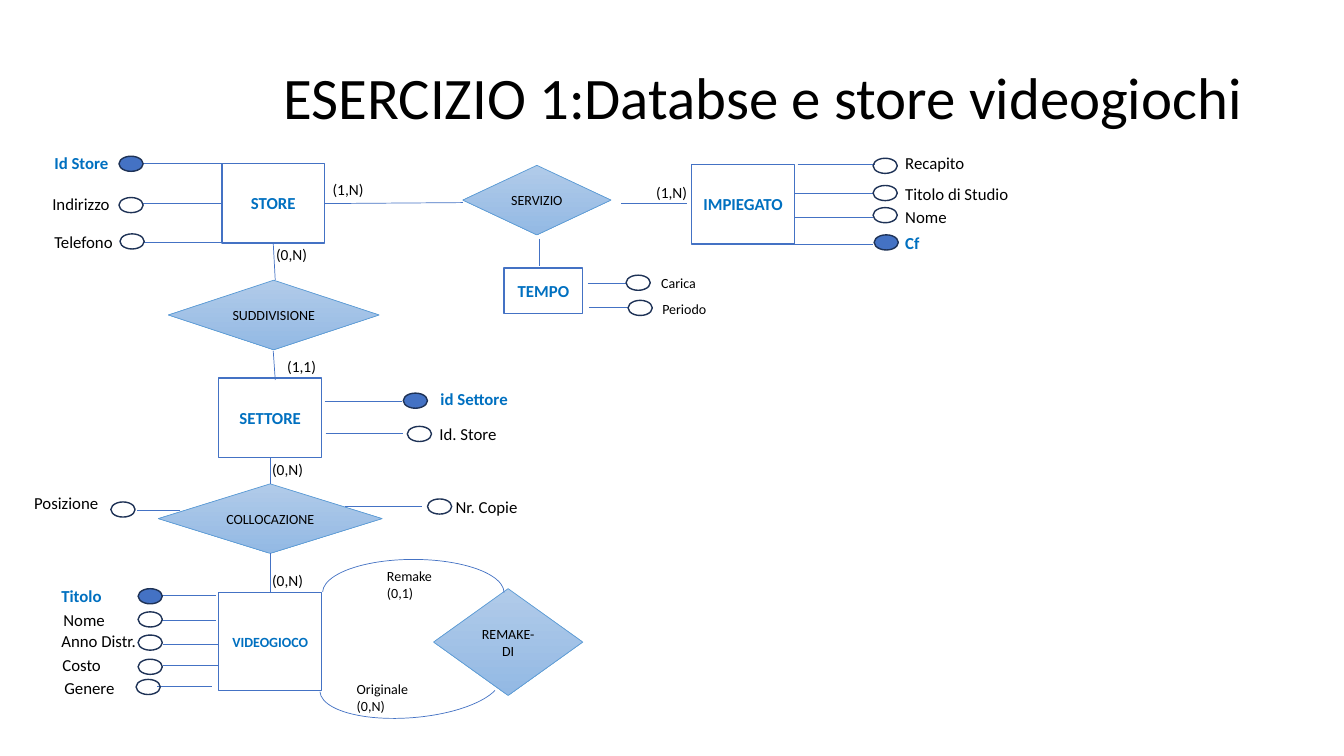
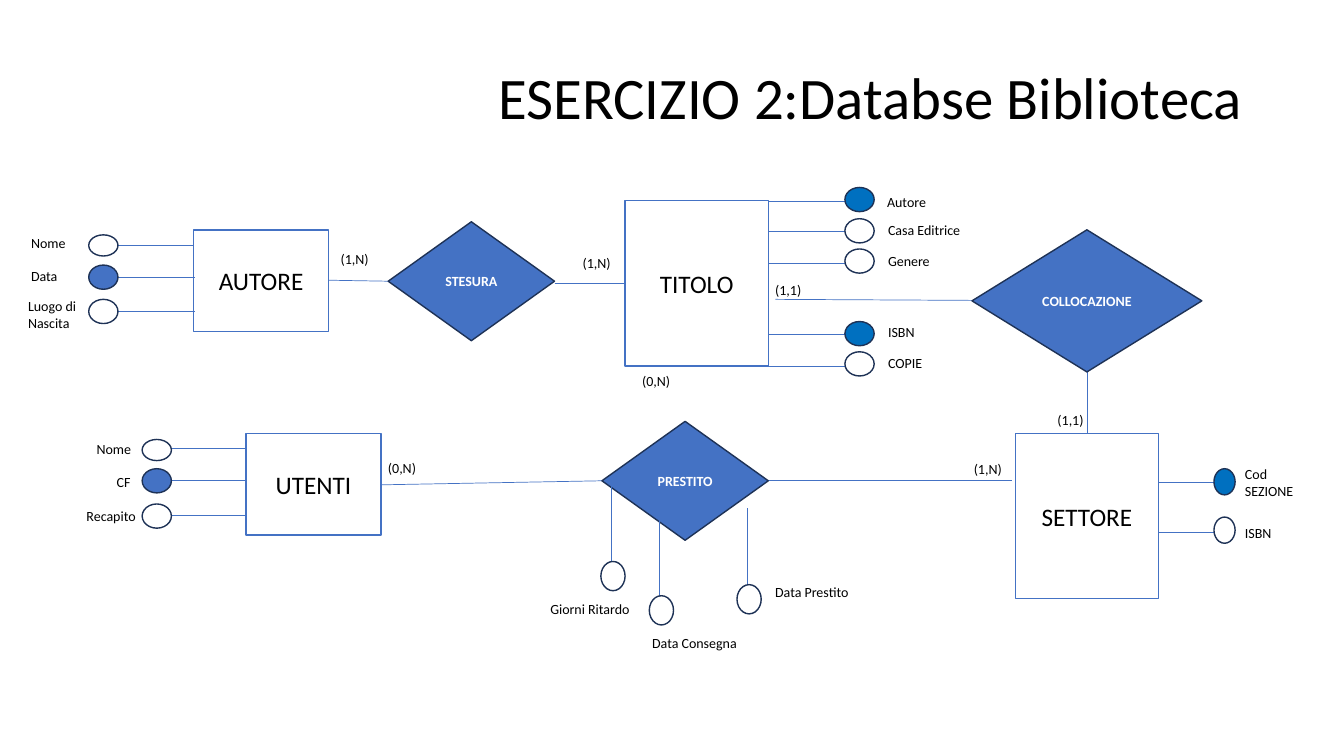
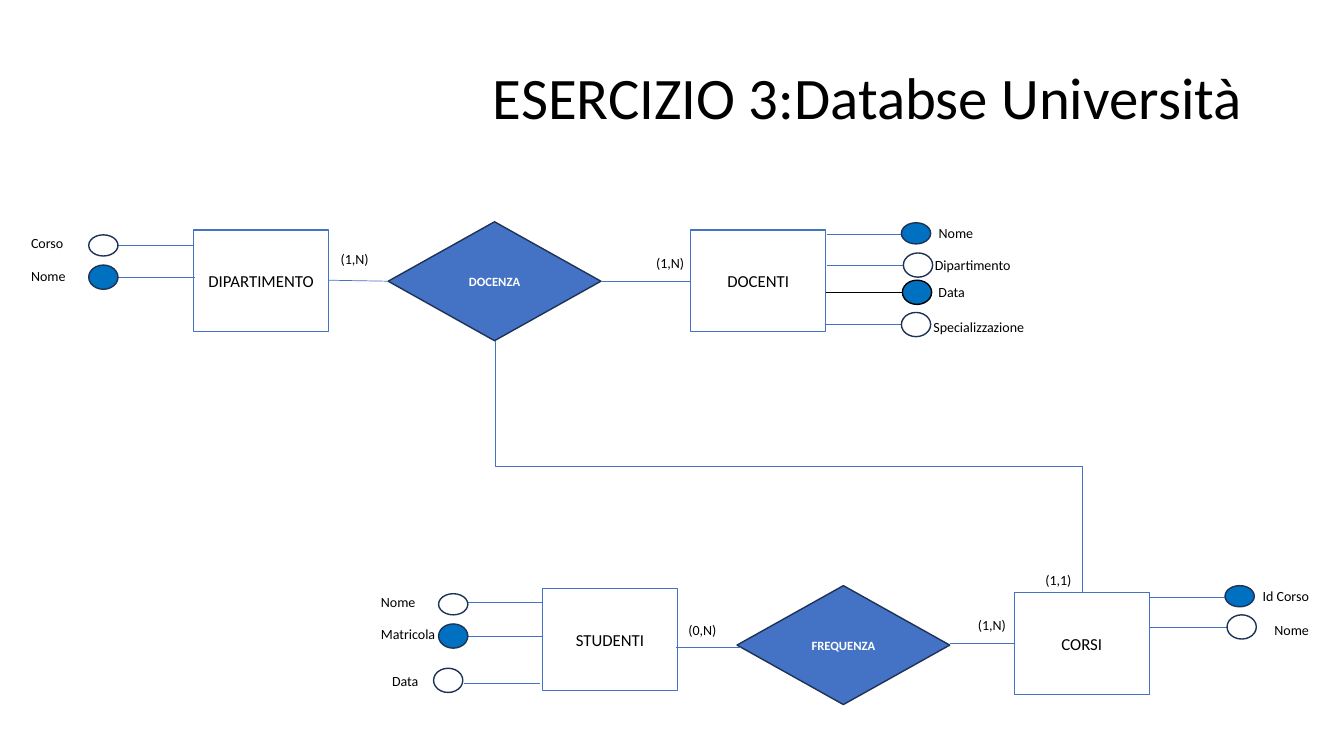
import pptx
import pptx.util
import pptx.dml.color
import pptx.enum.shapes
import pptx.enum.text
import pptx.oxml
import pptx.oxml.ns

Inches = pptx.util.Inches
Pt = pptx.util.Pt
SHAPE = pptx.enum.shapes.MSO_SHAPE
CONNECTOR = pptx.enum.shapes.MSO_CONNECTOR
ALIGN = pptx.enum.text.PP_ALIGN
ANCHOR = pptx.enum.text.MSO_ANCHOR
AUTO = pptx.enum.text.MSO_AUTO_SIZE

COLORS = {
    "black": "000000", "white": "FFFFFF", "blue": "4472C4", "key": "0070C0",
    "navy": "1E3256", "edge": "5B9BD5", "light": "B1CBE9", "dark": "93B9E4",
}
FONT = "Calibri"


def rgb(name):
    return pptx.dml.color.RGBColor.from_string(COLORS[name])


class Deck:
    def __init__(self):
        self.prs = pptx.Presentation()
        self.prs.slide_width = Inches(13.33)
        self.prs.slide_height = Inches(7.5)
        self.s = None

    def slide(self, title):
        self.s = self.prs.slides.add_slide(self.prs.slide_layouts[5])
        sp = self.s.shapes.title
        sp.left, sp.top, sp.width, sp.height = map(Inches, (0.92, 0.27, 11.5, 1.45))
        tf = sp.text_frame
        tf.auto_size = AUTO.NONE
        tf.vertical_anchor = ANCHOR.MIDDLE
        self.add_text(tf, title, 42, align=ALIGN.RIGHT)
        tf.paragraphs[0].line_spacing = 0.9

    def add_text(self, tf, text, size, color="black", bold=False, align=ALIGN.LEFT):
        tf.word_wrap = True
        for i, line in enumerate(text.split("\n")):
            p = tf.add_paragraph() if i else tf.paragraphs[0]
            p.alignment = align
            r = p.add_run()
            r.text = line
            r.font.name = FONT
            r.font.size = Pt(size)
            r.font.bold = bold
            r.font.color.rgb = rgb(color)

    def shape(self, kind, box, fill, line, weight=1):
        sp = self.s.shapes.add_shape(kind, *map(Inches, box))
        sp.shadow.inherit = False
        if fill == "gradient":
            sp.fill.gradient()
            sp.fill.gradient_angle = 270
            for stop, name in zip(sp.fill.gradient_stops, ("light", "dark")):
                stop.color.rgb = rgb(name)
        elif fill:
            sp.fill.solid()
            sp.fill.fore_color.rgb = rgb(fill)
        else:
            sp.fill.background()
        sp.line.color.rgb = rgb(line)
        sp.line.width = Pt(weight)
        return sp

    def entity(self, text, box, size, color="black", bold=False):
        sp = self.shape(SHAPE.RECTANGLE, box, "white", "blue")
        self.add_text(sp.text_frame, text, size, color, bold, ALIGN.CENTER)

    def relation(self, text, box, size=10, gradient=False):
        if gradient:
            sp = self.shape(SHAPE.DIAMOND, box, "gradient", "edge", 0.5)
        else:
            sp = self.shape(SHAPE.DIAMOND, box, "blue", "navy")
        self.add_text(sp.text_frame, text, size, "black" if gradient else "white",
                      not gradient, ALIGN.CENTER)

    def arc(self, box, start, rotation=0):
        sp = self.shape(SHAPE.ARC, box, None, "blue", 0.5)
        sp.adjustments[0] = start
        sp.adjustments[1] = 0
        sp.rotation = rotation

    def label(self, text, x, y, width, size=10, color="black", bold=False, align=ALIGN.LEFT):
        height = (text.count("\n") + 1) * size / 60 + 0.1
        tf = self.s.shapes.add_textbox(*map(Inches, (x, y, width, height))).text_frame
        tf.auto_size = AUTO.SHAPE_TO_FIT_TEXT
        self.add_text(tf, text, size, color, bold, align)

    def labels(self, rows, width, size=10):
        for text, x, y in rows:
            self.label(text, x, y, width, size)

    def line(self, x1, y1, x2, y2, color="blue", kind=CONNECTOR.STRAIGHT):
        c = self.s.shapes.add_connector(kind, *map(Inches, (x1, y1, x2, y2)))
        c.line.color.rgb = rgb(color)
        c.line.width = Pt(0.5)
        c._element.spPr.append(pptx.oxml.parse_xml(
            "<a:effectLst %s/>" % pptx.oxml.ns.nsdecls("a")))
        return c

    def lines(self, rows):
        for row in rows:
            self.line(*row)

    def elbow(self, x1, y1, x2, y2):
        c = self.line(x1, y1, x2, y2, kind=CONNECTOR.ELBOW)
        w, h = y2 - y1, x2 - x1
        c.left, c.top = Inches((x1 + x2 - w) / 2), Inches((y1 + y2 - h) / 2)
        c.width, c.height = Inches(w), Inches(h)
        xfrm = c._element.spPr.xfrm
        xfrm.set("rot", "16200000")
        xfrm.set("flipH", "1")

    def oval(self, x, y, w, h, fill, line="navy"):
        self.shape(SHAPE.OVAL, (x, y, w, h), fill, line)

    def attributes(self, rows, keys=(), size=10, oval=(0.29, 0.24), fill="white",
                   key_fill="key", bold_keys=False, width=1.04, align=ALIGN.LEFT,
                   line="blue", edge="navy"):
        for text, tx, ty, ox, oy, x1, x2, ly in rows:
            key = text in keys
            strong = key and bold_keys
            self.line(x1, ly, x2, ly, line)
            self.oval(ox, oy, *oval, key_fill if key else fill, edge)
            self.label(text, tx, ty, width, size, "key" if strong else "black", strong, align)


def store(d):
    d.slide("ESERCIZIO 1:Databse e store videogiochi")
    for text, box in (
        ("SERVIZIO", (4.59, 1.64, 1.47, 0.69)),
        ("SUDDIVISIONE", (1.67, 2.78, 2.09, 0.69)),
        ("COLLOCAZIONE", (1.57, 4.8, 2.22, 0.69)),
        ("REMAKE-DI", (4.3, 5.84, 1.48, 1.06)),
    ):
        d.relation(text, box, gradient=True)
    for text, box, size in (
        ("IMPIEGATO", (6.86, 1.63, 1.02, 0.79), 12),
        ("STORE", (2.2, 1.62, 1.02, 0.79), 12),
        ("TEMPO", (5, 2.66, 0.78, 0.45), 12),
        ("SETTORE", (2.17, 3.75, 1.02, 0.79), 12),
        ("VIDEOGIOCO", (2.17, 5.88, 1.02, 0.97), 10),
    ):
        d.entity(text, box, size, "key", True)
    d.lines((
        (6.16, 2.02, 6.81, 2.02), (3.22, 2.02, 4.59, 2.01),
        (5.35, 2.37, 5.35, 2.64), (2.71, 2.41, 2.73, 2.78),
        (2.71, 3.48, 2.73, 3.77), (2.68, 4.54, 2.68, 4.8),
        (2.68, 5.49, 2.68, 5.88),
    ))
    style = dict(oval=(0.24, 0.15), fill=None, key_fill="blue", bold_keys=True)
    d.attributes((
        ("Id Store", 0.44, 1.47, 1.18, 1.55, 1.42, 2.2, 1.62),
        ("Indirizzo", 0.42, 1.87, 1.18, 1.96, 1.42, 2.2, 2.02),
        ("Telefono", 0.44, 2.25, 1.19, 2.32, 1.42, 2.2, 2.4),
        ("id Settore", 4.27, 3.81, 4, 3.9, 3.22, 3.99, 3.98),
        ("Id. Store", 4.26, 4.15, 4.04, 4.23, 3.23, 4, 4.3),
        ("Posizione", 0.24, 4.84, 1.1, 4.98, 1.36, 1.79, 5.06),
        ("Nr. Copie", 4.42, 4.88, 4.24, 4.95, 3.42, 4.19, 5.02),
        ("Titolo", 0.51, 5.76, 1.37, 5.84, 1.6, 2.14, 5.91),
        ("Nome", 0.53, 6, 1.37, 6.07, 1.6, 2.14, 6.15),
        ("Anno Distr.", 0.51, 6.21, 1.37, 6.3, 1.62, 2.16, 6.39),
        ("Costo", 0.52, 6.45, 1.37, 6.54, 1.62, 2.16, 6.6),
        ("Genere", 0.54, 6.67, 1.35, 6.74, 1.56, 2.1, 6.81),
    ), ("Id Store", "id Settore", "Titolo"), 12, width=1.02, **style)
    d.attributes((
        ("Recapito", 8.88, 1.47, 8.66, 1.57, 7.91, 8.68, 1.63),
        ("Titolo di Studio", 8.88, 1.77, 8.66, 1.84, 7.88, 8.66, 1.92),
        ("Nome", 8.88, 2, 8.66, 2.06, 7.88, 8.66, 2.16),
        ("Cf", 8.88, 2.26, 8.67, 2.33, 7.88, 8.66, 2.42),
    ), ("Cf",), 12, width=1.33, **style)
    d.attributes((
        ("Carica", 6.46, 2.67, 6.21, 2.73, 5.83, 6.21, 2.81),
        ("Periodo", 6.47, 2.93, 6.23, 2.98, 5.84, 6.23, 3.05),
    ), width=0.81, **style)
    d.labels((
        ("(1,N)", 3.2, 1.74), ("(1,N)", 6.41, 1.77), ("(0,N)", 2.64, 2.38),
        ("(1,1)", 2.75, 3.49), ("(0,N)", 2.6, 4.52), ("(0,N)", 2.6, 5.62),
    ), 0.53, 11)
    d.arc((3.2, 5.55, 1.8, 0.66), 108.28)
    d.arc((3.17, 6.46, 1.8, 0.66), 113.17, 175.4)
    d.labels((("Originale (0,N)", 3.44, 6.7), ("Remake (0,1)", 3.74, 5.58)), 0.77)


def library(d):
    d.slide("ESERCIZIO 2:Databse Biblioteca")
    d.lines((
        (3.26, 2.78, 3.85, 2.79), (5.5, 2.81, 6.2, 2.81),
        (7.62, 4.77, 10.04, 4.77), (3.78, 4.81, 5.97, 4.77),
        (7.69, 2.97, 9.64, 2.98), (10.78, 3.69, 10.78, 4.3),
    ))
    for text, box in (
        ("AUTORE", (1.92, 2.28, 1.34, 1.01)),
        ("UTENTI", (2.44, 4.3, 1.34, 1.01)),
        ("TITOLO", (6.2, 1.99, 1.42, 1.64)),
        ("SETTORE", (10.07, 4.3, 1.42, 1.64)),
    ):
        d.entity(text, box, 18)
    for text, box in (
        ("STESURA", (3.85, 2.2, 1.65, 1.18)),
        ("PRESTITO", (5.97, 4.18, 1.65, 1.18)),
        ("COLLOCAZIONE", (9.64, 2.28, 2.28, 1.41)),
    ):
        d.relation(text, box)
    d.attributes((
        ("Nome", 0.21, 2.28, 0.88, 2.33, 1.15, 1.91, 2.43),
        ("Nome", 0.86, 4.32, 1.41, 4.36, 1.67, 2.43, 4.45),
    ), oval=(0.29, 0.21))
    d.attributes((
        ("Data", 0.21, 2.6, 0.88, 2.63, 1.17, 1.93, 2.75),
        ("Luogo di\nNascita", 0.18, 2.9, 0.88, 2.97, 1.17, 1.93, 3.09),
        ("CF", 1.06, 4.65, 1.41, 4.65, 1.69, 2.45, 4.77),
        ("Recapito", 0.76, 4.99, 1.41, 5, 1.69, 2.45, 5.11),
    ), ("Data", "CF"), key_fill="blue")
    d.attributes((
        ("Autore", 8.7, 1.87, 8.38, 1.86, 7.62, 8.38, 2),
        ("Casa Editrice", 8.71, 2.15, 8.38, 2.17, 7.62, 8.38, 2.3),
        ("Genere", 8.71, 2.46, 8.38, 2.47, 7.62, 8.38, 2.61),
        ("ISBN", 8.71, 3.16, 8.38, 3.19, 7.62, 8.38, 3.32),
        ("COPIE", 8.71, 3.47, 8.38, 3.49, 7.62, 8.38, 3.63),
    ), ("Autore", "ISBN"))
    d.attributes((
        ("Cod\nSEZIONE", 12.25, 4.57, 12.04, 4.65, 11.49, 12.04, 4.79),
        ("ISBN", 12.25, 5.15, 12.04, 5.13, 11.49, 12.04, 5.28),
    ), ("Cod\nSEZIONE",), oval=(0.21, 0.26), width=0.8)
    for text, tx, ty, x, top in (
        ("Data Prestito", 7.59, 5.74, 7.41, 5.04),
        ("Data Consegna", 6.37, 6.25, 6.54, 5.15),
        ("Giorni Ritardo", 5.36, 5.91, 6.06, 4.81),
    ):
        d.line(x, top, x, top + 0.76)
        d.oval(x - 0.1, top + 0.76, 0.24, 0.29, "white")
        d.label(text, tx, ty, 1.04)
    d.labels((
        ("(1,N)", 3.28, 2.44), ("(1,N)", 5.68, 2.48), ("(0,N)", 6.27, 3.65),
        ("(0,N)", 3.75, 4.51), ("(1,1)", 7.59, 2.74), ("(1,1)", 10.39, 4.03),
        ("(1,N)", 9.56, 4.52),
    ), 0.5)


def university(d):
    d.slide("ESERCIZIO 3:Databse Università")
    for text, x, y in (
        ("DIPARTIMENTO", 1.92, 2.28), ("DOCENTI", 6.85, 2.28),
        ("STUDENTI", 5.38, 5.84), ("CORSI", 10.06, 5.88),
    ):
        d.entity(text, (x, y, 1.34, 1.01), 12)
    for text, x, y in (("DOCENZA", 3.85, 2.2), ("FREQUENZA", 7.31, 5.81)):
        d.relation(text, (x, y, 2.11, 1.18), 9)
    d.lines((
        (3.26, 2.78, 3.85, 2.79), (5.96, 2.79, 6.85, 2.79),
        (9.42, 6.38, 10.06, 6.38), (6.7, 6.42, 7.35, 6.42),
    ))
    d.elbow(4.91, 3.38, 10.73, 5.88)
    d.attributes((
        ("Corso", 0.21, 2.28, 0.88, 2.33, 1.15, 1.91, 2.43),
        ("Nome", 3.68, 5.84, 4.35, 5.89, 4.62, 5.38, 5.98),
    ), oval=(0.29, 0.21))
    d.attributes((
        ("Nome", 0.21, 2.6, 0.88, 2.63, 1.17, 1.93, 2.75),
        ("Matricola", 3.68, 6.16, 4.35, 6.19, 4.63, 5.39, 6.31),
        ("Data", 3.79, 6.62, 4.3, 6.63, 4.6, 5.36, 6.78),
    ), ("Nome", "Matricola"))
    d.attributes((
        ("Nome", 8.71, 2.18, 8.94, 2.21, 8.2, 8.96, 2.33),
        ("Id Corso", 12.04, 5.78, 12.15, 5.81, 11.41, 12.17, 5.93),
    ), ("Nome", "Id Corso"), oval=(0.29, 0.21), align=ALIGN.RIGHT)
    d.attributes((
        ("Dipartimento", 9.08, 2.5, 8.96, 2.51, 8.2, 8.96, 2.63),
        ("Nome", 12.04, 6.12, 12.17, 6.1, 11.41, 12.17, 6.22),
    ), align=ALIGN.RIGHT)
    d.attributes((("Data", 9.21, 2.76, 8.95, 2.78, 8.19, 8.95, 2.9),),
                 ("Data",), line="black", edge="black")
    d.attributes((("Specializzazione", 9.16, 3.11, 8.94, 3.1, 8.18, 8.94, 3.22),),
                 width=1.14)
    d.labels((
        ("(1,N)", 3.28, 2.44), ("(1,N)", 6.41, 2.48), ("(1,1)", 10.27, 5.62),
        ("(1,N)", 9.6, 6.07), ("(0,N)", 6.73, 6.12),
    ), 0.5)


def main():
    d = Deck()
    store(d)
    library(d)
    university(d)
    d.prs.save("out.pptx")


if __name__ == "__main__":
    main()
